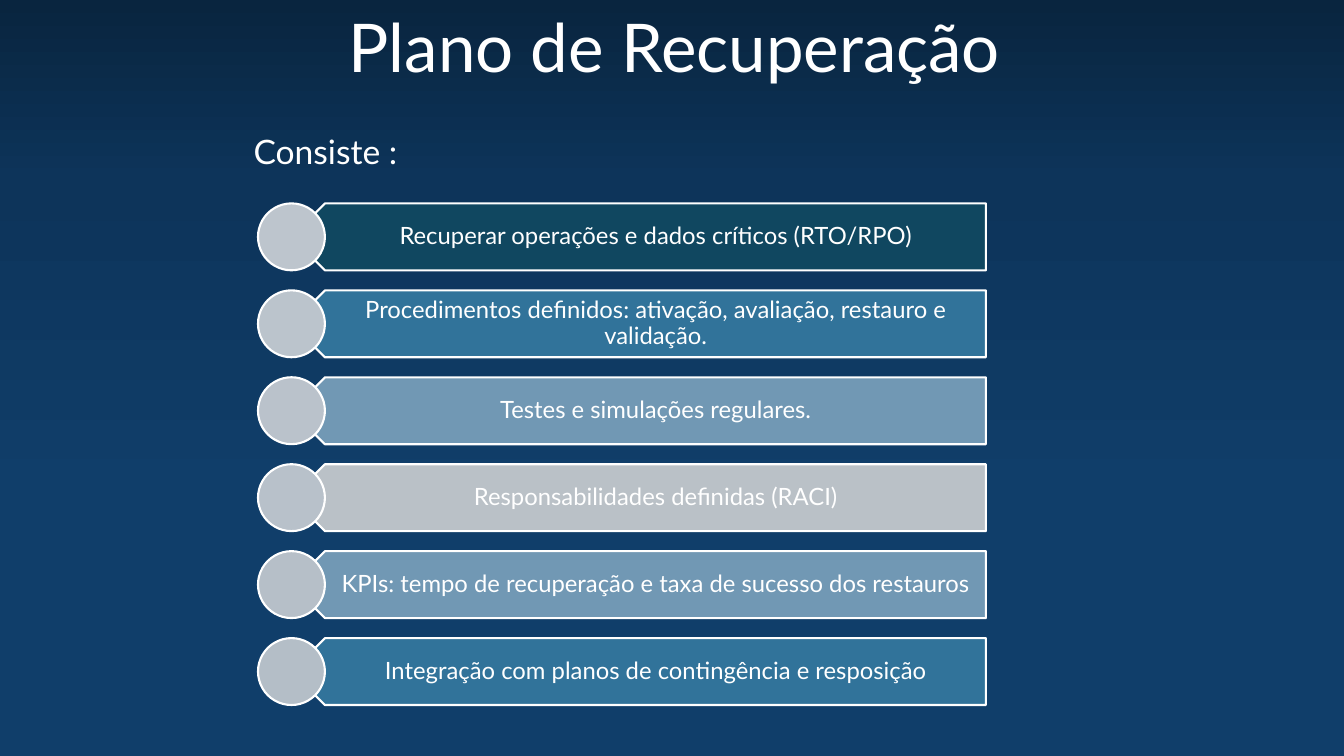
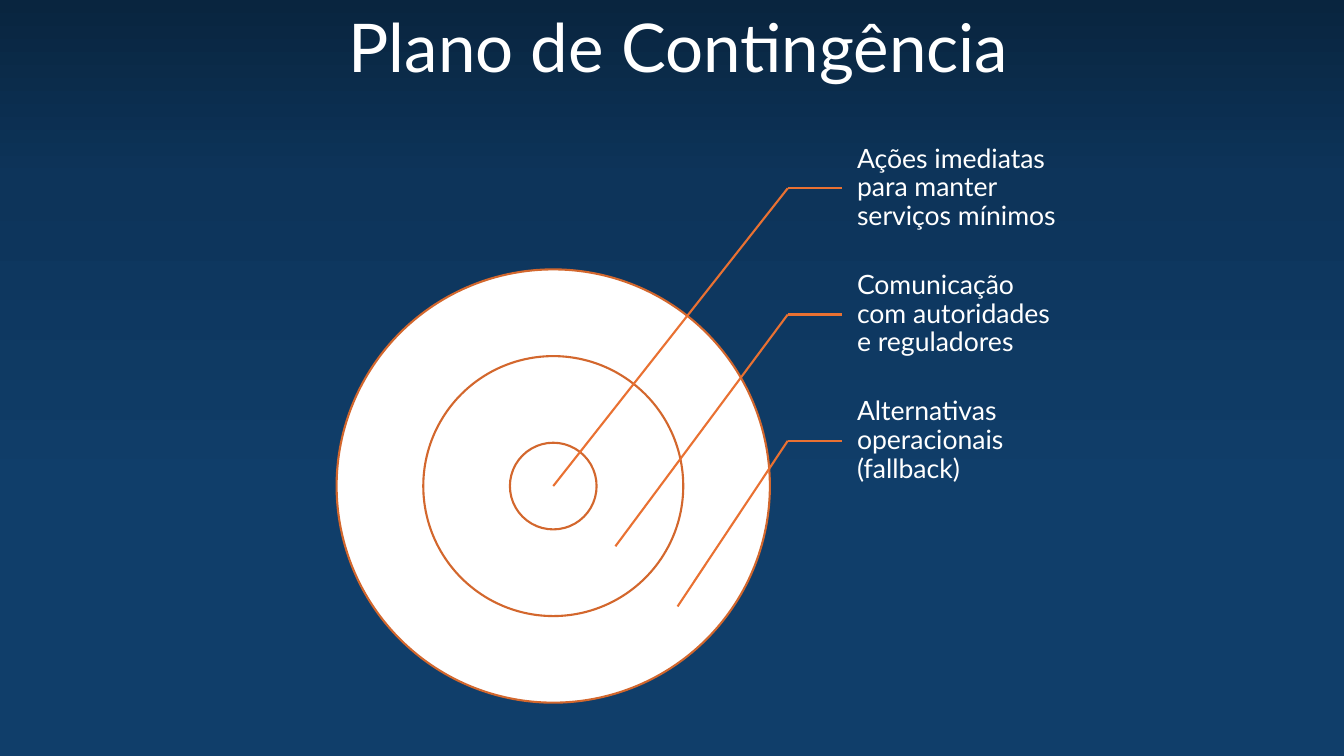
from lxml import etree
from pptx import Presentation
from pptx.dml.color import RGBColor
from pptx.enum.shapes import MSO_CONNECTOR, MSO_SHAPE
from pptx.enum.text import MSO_ANCHOR, PP_ALIGN
from pptx.oxml.ns import qn
from pptx.util import Pt

LEFT, CENTER = PP_ALIGN.LEFT, PP_ALIGN.CENTER
TOP, MIDDLE = MSO_ANCHOR.TOP, MSO_ANCHOR.MIDDLE
PENTAGON, OVAL = MSO_SHAPE.PENTAGON, MSO_SHAPE.OVAL
STRAIGHT = MSO_CONNECTOR.STRAIGHT

FONT = "Lato"
WHITE = RGBColor(0xFF, 0xFF, 0xFF)
NAVY = RGBColor(0x09, 0x25, 0x3F)
DEEP_BLUE = RGBColor(0x0D, 0x34, 0x5A)
BLUE = RGBColor(0x10, 0x3E, 0x6A)
PETROL = RGBColor(0x10, 0x47, 0x60)
STEEL = RGBColor(0x31, 0x73, 0x9A)
MIST = RGBColor(0x71, 0x98, 0xB4)
SILVER = RGBColor(0xBA, 0xC1, 0xC7)
RUST = RGBColor(0xD3, 0x67, 0x2D)
ORANGE = RGBColor(0xE9, 0x71, 0x32)

BACKGROUND_STOPS = [(0, NAVY), (24, DEEP_BLUE), (66, BLUE)]
LINE_WIDTH = 1.5
DEFAULT_INSETS = (7.2, 3.6, 7.2, 3.6)

# Text, bar colour, disc colour
RECOVERY_STEPS = [
    ("Recuperar operações e dados críticos (RTO/RPO)", PETROL, RGBColor(0xBD, 0xC5, 0xCD)),
    ("Procedimentos definidos: ativação, avaliação, restauro e validação.", STEEL,
     RGBColor(0xBB, 0xC4, 0xCC)),
    ("Testes e simulações regulares.", MIST, RGBColor(0xBA, 0xC2, 0xCB)),
    ("Responsabilidades definidas (RACI)", SILVER, RGBColor(0xB8, 0xC1, 0xCA)),
    ("KPIs: tempo de recuperação e taxa de sucesso dos restauros", MIST,
     RGBColor(0xB6, 0xBF, 0xC8)),
    ("Integração com planos de contingência e resposição", STEEL, RGBColor(0xB4, 0xBE, 0xC7)),
]
CONTINGENCY_LABELS = [
    "Ações imediatas para manter serviços mínimos",
    "Comunicação com autoridades e reguladores",
    "Alternativas operacionais (fallback)",
]


def set_background(master):
    """Give every slide the vertical blue gradient through the master."""
    fill = master.background.fill
    fill.gradient()
    fill.gradient_angle = 270
    stops = master.element.find(".//" + qn("a:gsLst"))
    for stop in list(stops):
        stops.remove(stop)
    for percent, color in BACKGROUND_STOPS:
        stop = etree.SubElement(stops, qn("a:gs"), pos=str(percent * 1000))
        etree.SubElement(stop, qn("a:srgbClr"), val=str(color))


def add_text(s, text, x, y, w, h, size, align=LEFT, anchor=TOP,
             insets=DEFAULT_INSETS, spacing=1.0):
    box = s.shapes.add_textbox(Pt(x), Pt(y), Pt(w), Pt(h))
    tf = box.text_frame
    tf.word_wrap = True
    tf.vertical_anchor = anchor
    tf.margin_left, tf.margin_top, tf.margin_right, tf.margin_bottom = map(Pt, insets)
    p = tf.paragraphs[0]
    p.alignment = align
    p.line_spacing = spacing
    r = p.add_run()
    r.text = text
    r.font.name = FONT
    r.font.size = Pt(size)
    r.font.color.rgb = WHITE
    return box


def add_shape(s, kind, x, y, w, h, fill, line):
    sp = s.shapes.add_shape(kind, Pt(x), Pt(y), Pt(w), Pt(h))
    sp.shadow.inherit = False
    sp.fill.solid()
    sp.fill.fore_color.rgb = fill
    sp.line.color.rgb = line
    sp.line.width = Pt(LINE_WIDTH)
    return sp


def add_line(s, x1, y1, x2, y2):
    line = s.shapes.add_connector(STRAIGHT, Pt(x1), Pt(y1), Pt(x2), Pt(y2))
    line.line.color.rgb = ORANGE
    line.line.width = Pt(LINE_WIDTH)
    etree.SubElement(line.element.spPr, qn("a:effectLst"))
    return line


def add_slide(prs, title):
    s = prs.slides.add_slide(prs.slide_layouts[6])
    add_text(s, title, 242, 0, 500, 65.5, 48)
    return s


def add_step(s, y, text, bar_color, disc_color):
    """Draw a bar pointing left, its text and the disc over its tip."""
    height, bar_x, bar_width = 47.8, 208.2, 496
    bar = add_shape(s, PENTAGON, bar_x, y, bar_width, height, bar_color, WHITE)
    bar.rotation = 180
    add_text(s, text, 220.2, y, 484.8, height, 17, align=CENTER, anchor=MIDDLE,
             insets=(21, 5, 9.4, 5), spacing=0.9)
    add_shape(s, OVAL, bar_x - height / 2, y, height, height, disc_color, WHITE)


def add_recovery_slide(prs):
    s = add_slide(prs, "Plano de Recuperação")
    add_text(s, "Consiste :", 174, 90, 420, 36, 24)
    for i, step in enumerate(RECOVERY_STEPS):
        add_step(s, 145.3 + i * 62.1, *step)


def add_contingency_slide(prs):
    s = add_slide(prs, "Plano de Contingência")
    center_x, center_y, core = 395.2, 347.2, 61.9
    for ratio in (5, 3, 1):
        d = ratio * core
        add_shape(s, OVAL, center_x - d / 2, center_y - d / 2, d, d, WHITE, RUST)

    label_x, label_height, elbow_x = 601.4, 90.2, 562.7
    for i, text in enumerate(CONTINGENCY_LABELS):
        y = 89.4 + i * label_height
        middle = y + label_height / 2
        label = add_text(s, text, label_x, y, 155, label_height, 19, anchor=MIDDLE,
                         insets=(10.8, 2.2, 2.2, 2.2), spacing=0.9)
        stub = add_line(s, elbow_x, middle, label_x, middle)
        stub.end_connect(label, 1)
        add_line(s, elbow_x, middle, center_x + i * 44.4, center_y + i * 43)


def main():
    prs = Presentation()
    prs.slide_width, prs.slide_height = Pt(960), Pt(540)
    set_background(prs.slide_master)
    add_recovery_slide(prs)
    add_contingency_slide(prs)
    prs.save("out.pptx")


if __name__ == "__main__":
    main()
